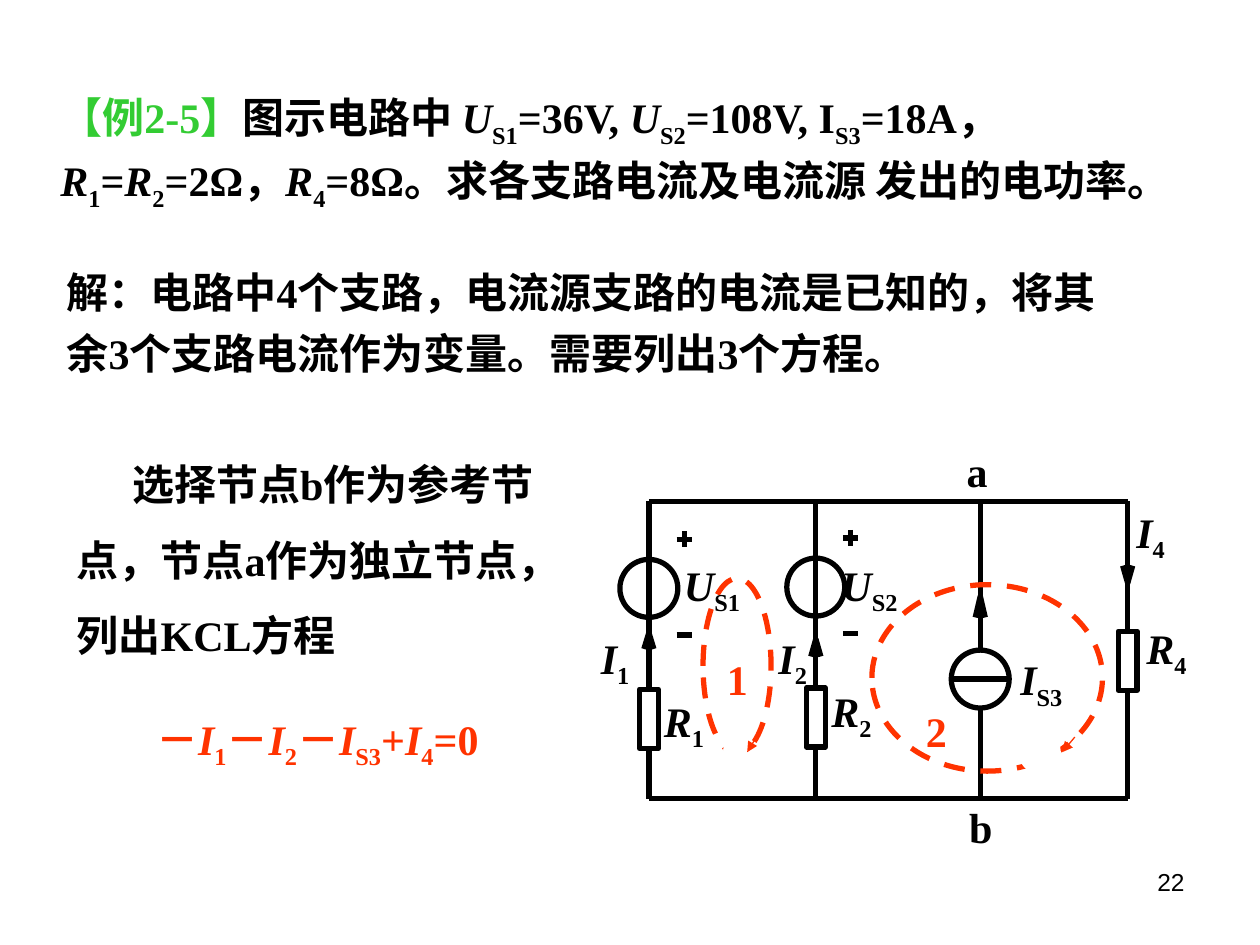
from lxml.etree import SubElement
from pptx import Presentation
from pptx.dml.color import RGBColor
from pptx.enum.dml import MSO_LINE
from pptx.enum.shapes import MSO_CONNECTOR, MSO_SHAPE
from pptx.enum.text import PP_ALIGN
from pptx.oxml.ns import qn
from pptx.util import Inches, Pt

BLACK = RGBColor(0, 0, 0)
WHITE = RGBColor(255, 255, 255)
GREEN = RGBColor(0x33, 0xCC, 0x33)
RED = RGBColor(0xFF, 0x33, 0x00)

COLUMNS, ROWS = 100, 75


class CircuitSlide:
    font_name = "Times New Roman"
    font_size = 24
    line_width = 3

    def __init__(self, presentation):
        self.slide = presentation.slides.add_slide(presentation.slide_layouts[6])
        self.column = presentation.slide_width / COLUMNS
        self.row = presentation.slide_height / ROWS

    def place(self, x, y):
        return round(x * self.column), round(y * self.row)

    def add_run(self, paragraph, piece):
        run = paragraph.add_run()
        run.text = piece.lstrip("/_#")
        if piece[0] == "/":
            run.font.italic = True
        elif piece[0] == "_":
            run._r.get_or_add_rPr().set("baseline", "-25000")
        elif piece[0] == "#":
            run.font.color.rgb = GREEN

    def text(self, x, y, width, height, *lines, color=BLACK, align=PP_ALIGN.LEFT,
             spacing=None, before=0, indent=0, name=font_name, size=font_size, bold=True):
        """Pieces split by |: / is italic, _ is subscript, # is the heading colour."""
        box = self.slide.shapes.add_textbox(*self.place(x, y), *self.place(width, height))
        frame = box.text_frame
        frame.word_wrap = True
        for index, line in enumerate(lines):
            paragraph = frame.add_paragraph() if index else frame.paragraphs[0]
            paragraph.alignment = align
            if spacing:
                paragraph.line_spacing = spacing
            if index:
                paragraph.space_before = Pt(before)
            if indent:
                paragraph._p.get_or_add_pPr().set("indent", str(round(indent * self.column)))
            font = paragraph.font
            font.name, font.size, font.bold = name, Pt(size), bold
            font.color.rgb = color
            for piece in line.split("|"):
                self.add_run(paragraph, piece)

    def line(self, x1, y1, x2, y2, color=BLACK, width=line_width, arrow=False):
        connector = self.slide.shapes.add_connector(
            MSO_CONNECTOR.STRAIGHT, *self.place(x1, y1), *self.place(x2, y2))
        connector.line.color.rgb = color
        connector.line.width = Pt(width)
        if arrow:
            SubElement(connector.line._get_or_add_ln(), qn("a:tailEnd"), type="triangle")
        SubElement(connector._element.spPr, qn("a:effectLst"))

    def shape(self, kind, x, y, width, height, fill=WHITE, line=BLACK, dash=None):
        shape = self.slide.shapes.add_shape(
            kind, *self.place(x, y), *self.place(width, height))
        shape.shadow.inherit = False
        if fill is None:
            shape.fill.background()
        else:
            shape.fill.solid()
            shape.fill.fore_color.rgb = fill
        if line is None:
            shape.line.fill.background()
        else:
            shape.line.color.rgb = line
            shape.line.width = Pt(self.line_width)
            if dash:
                shape.line.dash_style = dash

    def source(self, x, y):
        self.shape(MSO_SHAPE.OVAL, x - 2.3, y - 2.3, 4.6, 4.6)

    def resistor(self, x, y):
        self.shape(MSO_SHAPE.RECTANGLE, x - 0.75, y, 1.5, 4.7)

    def polarity(self, x, plus, minus):
        for y in (plus, minus):
            self.line(x - 0.6, y, x + 0.6, y)
        self.line(x, plus - 0.65, x, plus + 0.65)

    def current(self, x, tip, head, tail):
        for x2, y2 in ((x - 0.4, head), (x + 0.4, head), (x, tail)):
            self.line(x, tip, x2, tip + y2 if x2 != x else tip + tail)

    def mesh(self, x, y, width, height, gap, arrow):
        self.shape(MSO_SHAPE.OVAL, x, y, width, height, None, RED, MSO_LINE.DASH)
        left, top, side = gap
        self.shape(MSO_SHAPE.OVAL, left, top, side, side, line=None)
        self.line(*arrow, color=RED, width=0.75, arrow=True)


def add_statement(page):
    page.text(3.8, 6.8, 93.2, 10.8,
              "#【例2-5】|图示电路中 |/U|_S1|=36V, |/U|_S2|=108V, I|_S3|=18A，",
              "/R|_1|=|/R|_2|=2Ω，|/R|_4|=8Ω。求各支路电流及电流源 发出的电功率。",
              before=3)
    page.text(4.3, 19.9, 87.5, 10.7,
              "解：电路中4个支路，电流源支路的电流是已知的，将其 "
              "余3个支路电流作为变量。需要列出3个方程。", spacing=1.2)
    page.text(5.1, 33.9, 39.9, 19.2,
              "选择节点b作为参考节点，节点a作为独立节点，列出KCL方程",
              spacing=1.5, indent=4.4)
    page.text(11.4, 56.1, 29.2, 5,
              "－|/I|_1|－|/I|_2|－|/I|_S3|+|/I|_4|=0", color=RED)


def add_circuit(page):
    top, bottom = 39.8, 63.4
    first, second, third, fourth = 51.5, 64.75, 77.8, 89.5

    page.source(first, 46.7)
    page.source(second, 46.6)
    for x in (first, second, third, fourth):
        page.line(x, top, x, bottom)
    for y in (top, bottom):
        page.line(first, y, fourth, y)
    page.polarity(54.3, 42.8, 50.4)
    page.polarity(67.5, 42.7, 50.3)
    page.source(third, 53.9)
    page.line(third - 2.3, 53.9, third + 2.3, 53.9)
    for x, y in ((first, 54.7), (second, 54.6), (fourth, 50.1)):
        page.resistor(x, y)
    for x, tip, head, tail in ((first, 50.2, 1.3, 2.8), (second, 50.7, 1.4, 2.8),
                               (third, 47.3, 1.7, 3.4), (fourth, 46.3, -1.4, -2.8)):
        page.current(x, tip, head, tail)

    page.mesh(55.8, 45.9, 5.4, 13.9, (57.4, 58.3, 2.4), (60.4, 57.9, 59.3, 59.7))
    page.mesh(69.2, 46.4, 18.3, 14.8, (80.8, 58, 3.4), (85.3, 58.5, 84.3, 59.7))

    for x, y, label in ((53.3, 43.9, "/U|_S1"), (65.8, 43.9, "/U|_S2"),
                        (80, 51.4, "/I|_S3"), (51.7, 54.7, "/R|_1"),
                        (65, 53.9, "/R|_2"), (90, 48.9, "/R|_4"),
                        (46.7, 49.7, "/I|_1"), (60.8, 49.7, "/I|_2"),
                        (89.2, 39.7, "/I|_4")):
        page.text(x, y, 7.5, 5, label)
    for x, y, label in ((56.7, 51.4, "1"), (72.5, 55.5, "2")):
        page.text(x, y, 5, 5, label, color=RED)
    for x, y, label in ((75.2, 34.9, "a"), (75.5, 63.1, "b")):
        page.text(x, y, 4.7, 5, label, align=PP_ALIGN.CENTER)


def main():
    presentation = Presentation()
    presentation.slide_width, presentation.slide_height = Inches(10), Inches(7.5)
    page = CircuitSlide(presentation)
    add_statement(page)
    add_circuit(page)
    page.text(71.7, 68.3, 23.3, 5.2, "22", align=PP_ALIGN.RIGHT,
              name="Arial", size=14, bold=False)
    presentation.save("out.pptx")


if __name__ == "__main__":
    main()
